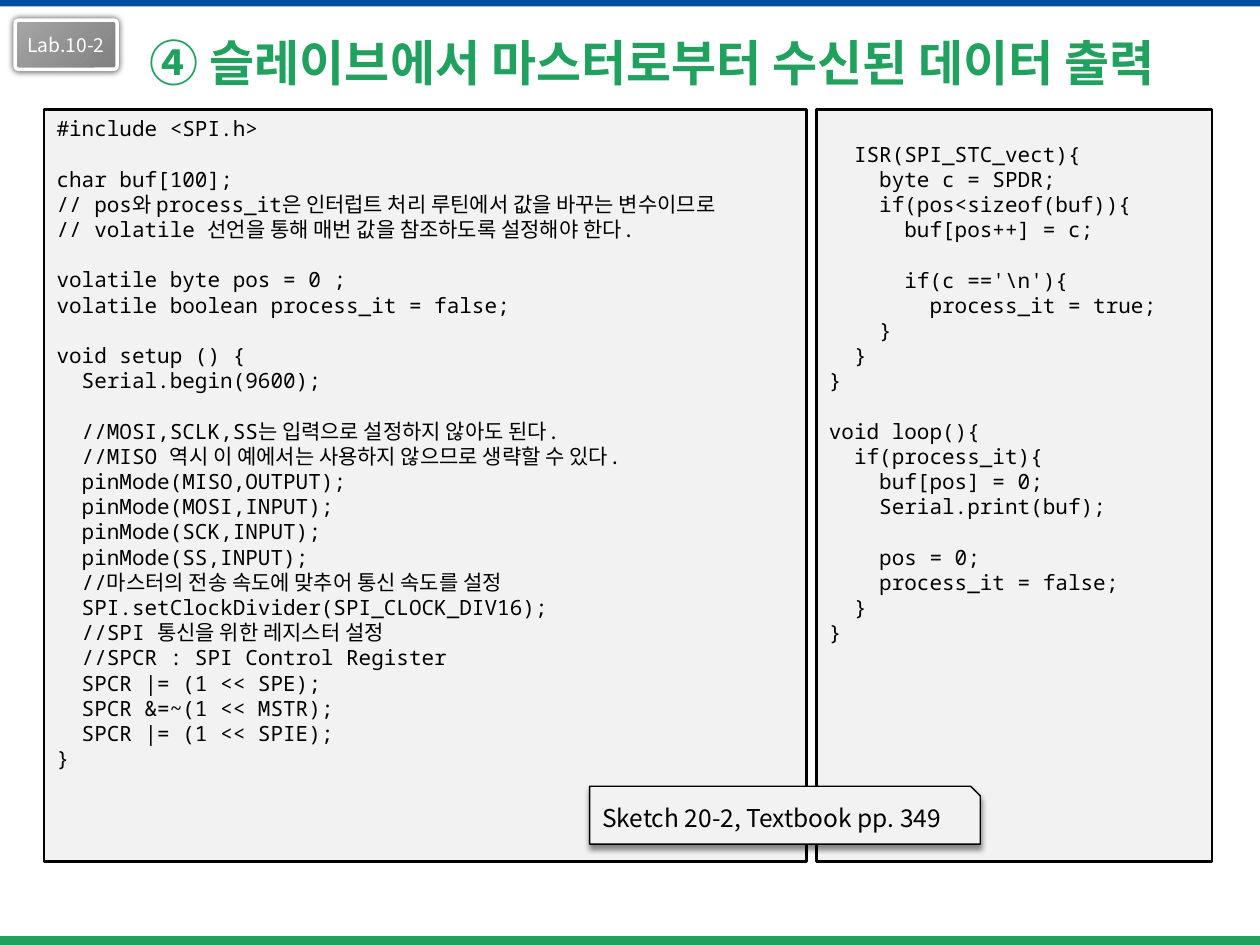
import lxml.etree
import pptx
import pptx.dml.color
import pptx.enum.shapes
import pptx.enum.text
import pptx.oxml.ns
import pptx.util

RGB = pptx.dml.color.RGBColor
SHAPE = pptx.enum.shapes.MSO_SHAPE
ANCHOR = pptx.enum.text.MSO_ANCHOR
ALIGN = pptx.enum.text.PP_ALIGN
Pt = pptx.util.Pt
qn = pptx.oxml.ns.qn

GREEN = RGB(0x20, 0xA1, 0x5E)
BLUE = RGB(0x00, 0x4E, 0xA2)
BLACK = RGB(0x00, 0x00, 0x00)
WHITE = RGB(0xFF, 0xFF, 0xFF)
PANEL_GRAY = RGB(0xF2, 0xF2, 0xF2)
LIGHT_GRAY = RGB(0xA6, 0xA6, 0xA6)
DARK_GRAY = RGB(0x80, 0x80, 0x80)

# The page is a grid of square cells
COLUMNS, ROWS = 100, 75
CELL = pptx.util.Inches(0.1)
CODE_PITCH = 14.4

KOREAN_FONT = "Noto Sans CJK KR"
CODE_FONT = {"name": "Noto Sans Mono", "size": Pt(12)}
TITLE_FONT = {"name": "Calibri", "size": Pt(28), "bold": True}
BADGE_FONT = {"name": KOREAN_FONT, "size": Pt(11)}
NOTE_FONT = {"name": KOREAN_FONT, "size": Pt(14)}

SETUP_CODE = r"""#include <SPI.h>

char buf[100];
// pos와 process_it은 인터럽트 처리 루틴에서 값을 바꾸는 변수이므로
// volatile 선언을 통해 매번 값을 참조하도록 설정해야 한다.

volatile byte pos = 0 ;
volatile boolean process_it = false;

void setup () {
  Serial.begin(9600);

  //MOSI,SCLK,SS는 입력으로 설정하지 않아도 된다.
  //MISO 역시 이 예에서는 사용하지 않으므로 생략할 수 있다.
  pinMode(MISO,OUTPUT);
  pinMode(MOSI,INPUT);
  pinMode(SCK,INPUT);
  pinMode(SS,INPUT);
  //마스터의 전송 속도에 맞추어 통신 속도를 설정
  SPI.setClockDivider(SPI_CLOCK_DIV16);
  //SPI 통신을 위한 레지스터 설정
  //SPCR : SPI Control Register
  SPCR |= (1 << SPE);
  SPCR &=~(1 << MSTR);
  SPCR |= (1 << SPIE);
}"""

LOOP_CODE = r"""  ISR(SPI_STC_vect){
    byte c = SPDR;
    if(pos<sizeof(buf)){
      buf[pos++] = c;

      if(c =='\n'){
        process_it = true;
    }
  }
}

void loop(){
  if(process_it){
    buf[pos] = 0;
    Serial.print(buf);

    pos = 0;
    process_it = false;
  }
}"""


def cells(*counts):
    return [round(count * CELL) for count in counts]


def apply(target, values):
    for name, value in values.items():
        setattr(target, name, value)


def add_box(page, kind, place, fill, line=None, width=0):
    """Draw a shape; a list of colours as fill makes a gradient."""
    box = page.shapes.add_shape(kind, *cells(*place))
    box.shadow.inherit = False
    if isinstance(fill, list):
        box.fill.gradient()
        box.fill.gradient_angle = 315
        for stop, color in zip(box.fill.gradient_stops, fill):
            stop.color.rgb = color
    else:
        box.fill.solid()
        box.fill.fore_color.rgb = fill
    if line is None:
        box.line.fill.background()
    else:
        box.line.color.rgb = line
        box.line.width = Pt(width)
    return box


def add_shadow(box, blur, distance, direction, opacity):
    effects = box._element.spPr.find(qn("a:effectLst"))
    shadow = lxml.etree.SubElement(
        effects, qn("a:outerShdw"), blurRad=str(int(Pt(blur))),
        dist=str(int(Pt(distance))), dir=str(direction * 60000),
        rotWithShape="0")
    color = lxml.etree.SubElement(shadow, qn("a:srgbClr"), val=str(BLACK))
    lxml.etree.SubElement(color, qn("a:alpha"), val=str(opacity * 1000))


def write(para, text, font, color):
    span = para.add_run()
    span.text = text
    apply(span.font, font)
    span.font.color.rgb = color
    lxml.etree.SubElement(span._r.get_or_add_rPr(), qn("a:ea"),
                          typeface=KOREAN_FONT)


def add_label(box, text, font, color, align=ALIGN.LEFT, **frame):
    apply(box.text_frame, {"word_wrap": True,
                           "vertical_anchor": ANCHOR.MIDDLE, **frame})
    para = box.text_frame.paragraphs[0]
    para.alignment = align
    write(para, text, font, color)


def add_code(page, place, code, skipped=0):
    """Fill a panel with code; empty lines become space before the next."""
    box = add_box(page, SHAPE.RECTANGLE, place, PANEL_GRAY, BLACK, 1.5)
    frame = box.text_frame
    apply(frame, {"word_wrap": True, "vertical_anchor": ANCHOR.TOP,
                  "margin_top": cells(0.5)[0] + Pt(skipped * CODE_PITCH)})
    para, gap = frame.paragraphs[0], 0
    for line in code.splitlines():
        if not line:
            gap += CODE_PITCH
            continue
        if para.runs:
            para = frame.add_paragraph()
        apply(para, {"alignment": ALIGN.LEFT, "line_spacing": Pt(CODE_PITCH),
                     "space_before": Pt(gap)})
        write(para, line, CODE_FONT, BLACK)
        gap = 0


def main():
    deck = pptx.Presentation()
    deck.slide_width, deck.slide_height = cells(COLUMNS, ROWS)
    page = deck.slides.add_slide(deck.slide_layouts[6])

    # Edge bars
    add_box(page, SHAPE.RECTANGLE, (0, ROWS - 0.7, COLUMNS, 0.7), GREEN)
    add_box(page, SHAPE.RECTANGLE, (0, 0, COLUMNS, 0.5), BLUE)

    # Title
    title = page.shapes.add_textbox(*cells(0, 1.6, COLUMNS, 6.7))
    add_label(title, "④ 슬레이브에서 마스터로부터 수신된 데이터 출력",
              TITLE_FONT, GREEN, margin_left=cells(11.9)[0], margin_right=0)

    # Lab badge
    badge = add_box(page, SHAPE.ROUNDED_RECTANGLE, (1.2, 1.6, 8.1, 3.9),
                    [LIGHT_GRAY, DARK_GRAY], WHITE, 2)
    badge.adjustments[0] = 0.07
    add_shadow(badge, blur=4, distance=0, direction=0, opacity=75)
    add_label(badge, "Lab.10-2", BADGE_FONT, WHITE, ALIGN.CENTER,
              word_wrap=False)

    # Code panels
    add_code(page, (3.5, 8.7, 60.5, 59.7), SETUP_CODE)
    add_code(page, (64.8, 8.7, 31.4, 59.7), LOOP_CODE, skipped=1)

    # Textbook note
    note = add_box(page, SHAPE.SNIP_1_RECTANGLE, (46.8, 62.4, 31, 4.6),
                   PANEL_GRAY, BLACK, 0.79)
    add_shadow(note, blur=3, distance=2.4, direction=90, opacity=45)
    add_label(note, "Sketch 20-2, Textbook pp. 349", NOTE_FONT, BLACK)

    deck.save("out.pptx")


if __name__ == "__main__":
    main()
